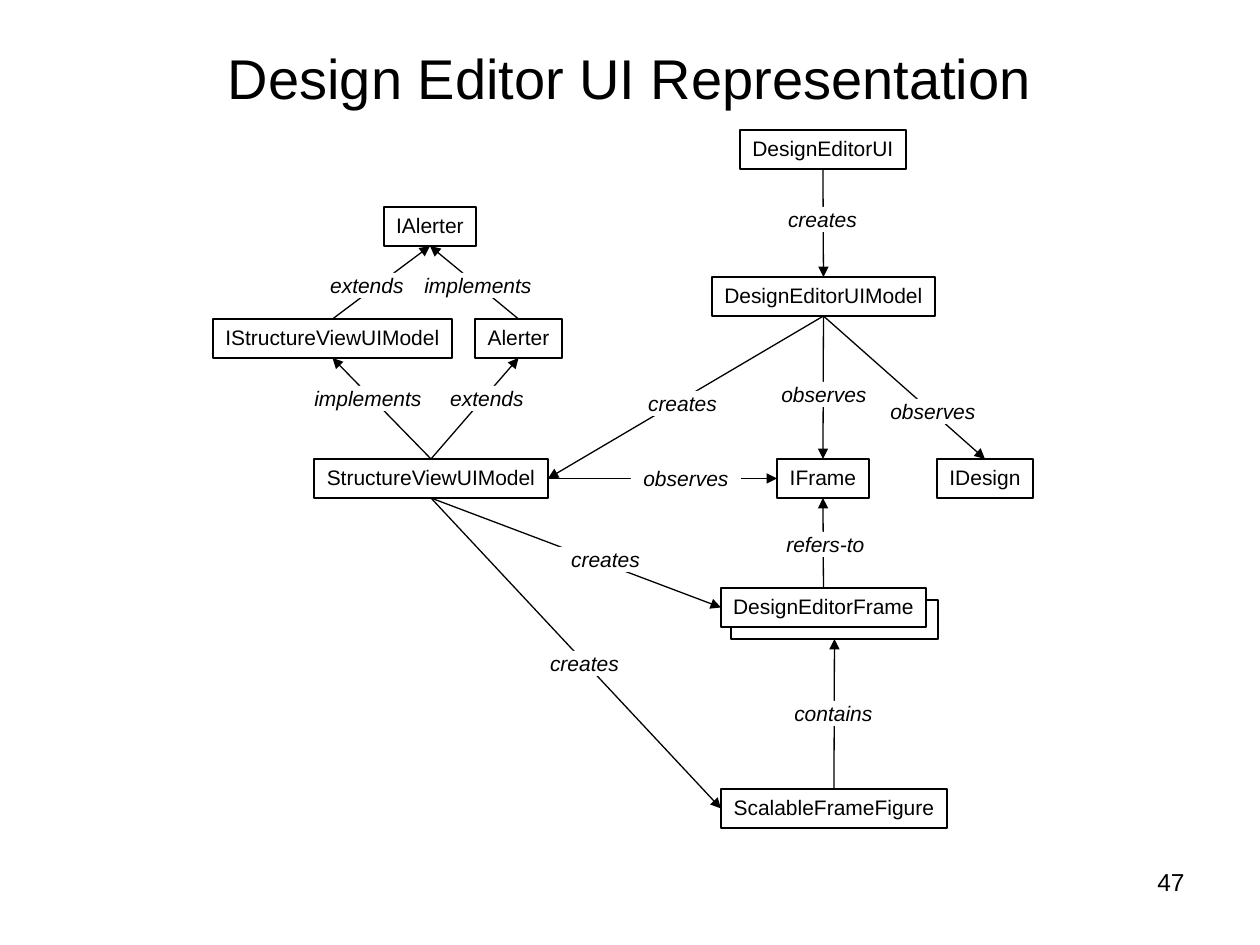
from pptx import Presentation
from pptx.dml.color import RGBColor
from pptx.enum.shapes import MSO_CONNECTOR, MSO_SHAPE
from pptx.enum.text import MSO_ANCHOR, PP_ALIGN
from pptx.oxml.ns import qn
from pptx.util import Emu, Pt
from lxml.etree import SubElement

TITLE = "Design Editor UI Representation"
PAGE = "47"
FONT, BLACK, WHITE = "Arial", "000000", "FFFFFF"
BOX_H, LABEL_H = 39, 25

# Class boxes: key, left, top, width, text
BOXES = [
    ("frames", 731, 600, 207, ""),
    ("frame", 721, 588, 205, "DesignEditorFrame"),
    ("ui", 740, 130, 166, "DesignEditorUI"),
    ("model", 712, 277, 223, "DesignEditorUIModel"),
    ("ialerter", 384, 207, 92, "IAlerter"),
    ("iview", 213, 319, 239, "IStructureViewUIModel"),
    ("alerter", 475, 319, 87, "Alerter"),
    ("view", 314, 459, 234, "StructureViewUIModel"),
    ("iframe", 777, 459, 92, "IFrame"),
    ("idesign", 937, 459, 96, "IDesign"),
    ("figure", 721, 789, 226, "ScalableFrameFigure"),
]

# Relations: from, side, to, side, label, label left, label top
TOP, LEFT, BOTTOM, RIGHT = range(4)
RELATIONS = [
    ("ui", BOTTOM, "model", TOP, "creates", 776, 207),
    ("model", BOTTOM, "view", RIGHT, "creates", 636, 391),
    ("model", BOTTOM, "iframe", TOP, "observes", 769, 382),
    ("model", BOTTOM, "idesign", TOP, "observes", 878, 399),
    ("iview", TOP, "ialerter", BOTTOM, "extends", 318, 273),
    ("alerter", TOP, "ialerter", BOTTOM, "implements", 412, 273),
    ("view", TOP, "iview", BOTTOM, "implements", 302, 386),
    ("view", TOP, "alerter", BOTTOM, "extends", 438, 386),
    ("view", RIGHT, "iframe", LEFT, "observes", 631, 466),
    ("view", BOTTOM, "frame", LEFT, "creates", 559, 547),
    ("view", BOTTOM, "figure", LEFT, "creates", 538, 651),
    ("frame", TOP, "iframe", BOTTOM, "refers-to", 774, 532),
    ("figure", TOP, "frames", BOTTOM, "contains", 782, 701),
]
LABEL_W = {"creates": 93, "observes": 110, "extends": 98,
           "implements": 132, "refers-to": 103, "contains": 103}


def px(n):
    return Emu(round(n * 914400 / 126))


def rgb(color):
    return RGBColor.from_string(color)


def write(sp, text, size, align=PP_ALIGN.CENTER, italic=False, pad=6):
    tf = sp.text_frame
    tf.text = text
    tf.margin_left = tf.margin_right = px(12.6)
    tf.margin_top = tf.margin_bottom = px(pad)
    p = tf.paragraphs[0]
    p.alignment = align
    for r in p.runs:
        r.font.name, r.font.size, r.font.italic = FONT, Pt(size), italic
        r.font.color.rgb = rgb(BLACK)
    return tf


def add_rect(s, x, y, w, h, text, outlined):
    sp = s.shapes.add_shape(MSO_SHAPE.RECTANGLE, px(x), px(y), px(w), px(h))
    sp.shadow.inherit = False
    sp.fill.solid()
    sp.fill.fore_color.rgb = rgb(WHITE)
    if outlined:
        sp.line.color.rgb = rgb(BLACK)
        sp.line.width = Pt(0.75)
    else:
        sp.line.fill.background()
    tf = write(sp, text, 12, italic=not outlined, pad=6 if outlined else 0)
    tf.word_wrap = False
    tf.vertical_anchor = MSO_ANCHOR.TOP
    return sp


def add_arrow(s, start, start_side, end, end_side):
    cx = s.shapes.add_connector(MSO_CONNECTOR.STRAIGHT, 0, 0, 0, 0)
    cx.begin_connect(start, start_side)
    cx.end_connect(end, end_side)
    cx.line.color.rgb = rgb(BLACK)
    cx.line.width = Pt(0.75)
    SubElement(cx.line._get_or_add_ln(), qn("a:tailEnd"), type="triangle")
    SubElement(cx._element.spPr, qn("a:effectLst"))


prs = Presentation()
prs.slide_width, prs.slide_height = px(1260), px(945)
s = prs.slides.add_slide(prs.slide_layouts[5])

# Title
title = s.shapes.title
title.left, title.top, title.width, title.height = px(63), px(38), px(1134), px(78)
write(title, TITLE, 32).vertical_anchor = MSO_ANCHOR.MIDDLE

# Class boxes
boxes = {key: add_rect(s, x, y, w, BOX_H, text, True)
         for key, x, y, w, text in BOXES}

# Arrows, each with its label on top
for start, start_side, end, end_side, *_ in RELATIONS:
    add_arrow(s, boxes[start], start_side, boxes[end], end_side)
for *_, label, x, y in RELATIONS:
    add_rect(s, x, y, LABEL_W[label], LABEL_H, label, False)

# Page number
number = s.shapes.add_textbox(px(977), px(861), px(220), px(66))
write(number, PAGE, 14, PP_ALIGN.RIGHT).word_wrap = True

prs.save("out.pptx")
